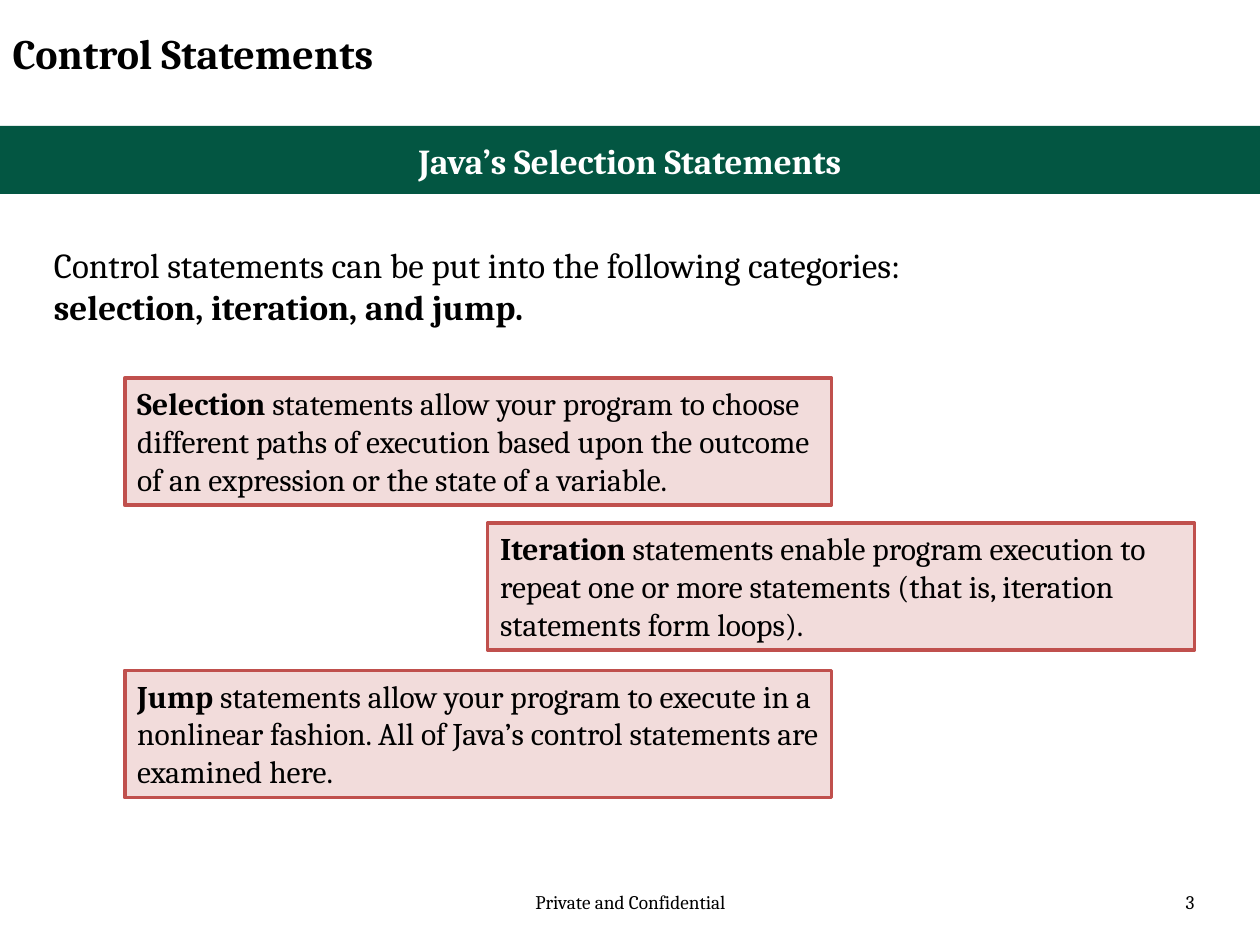
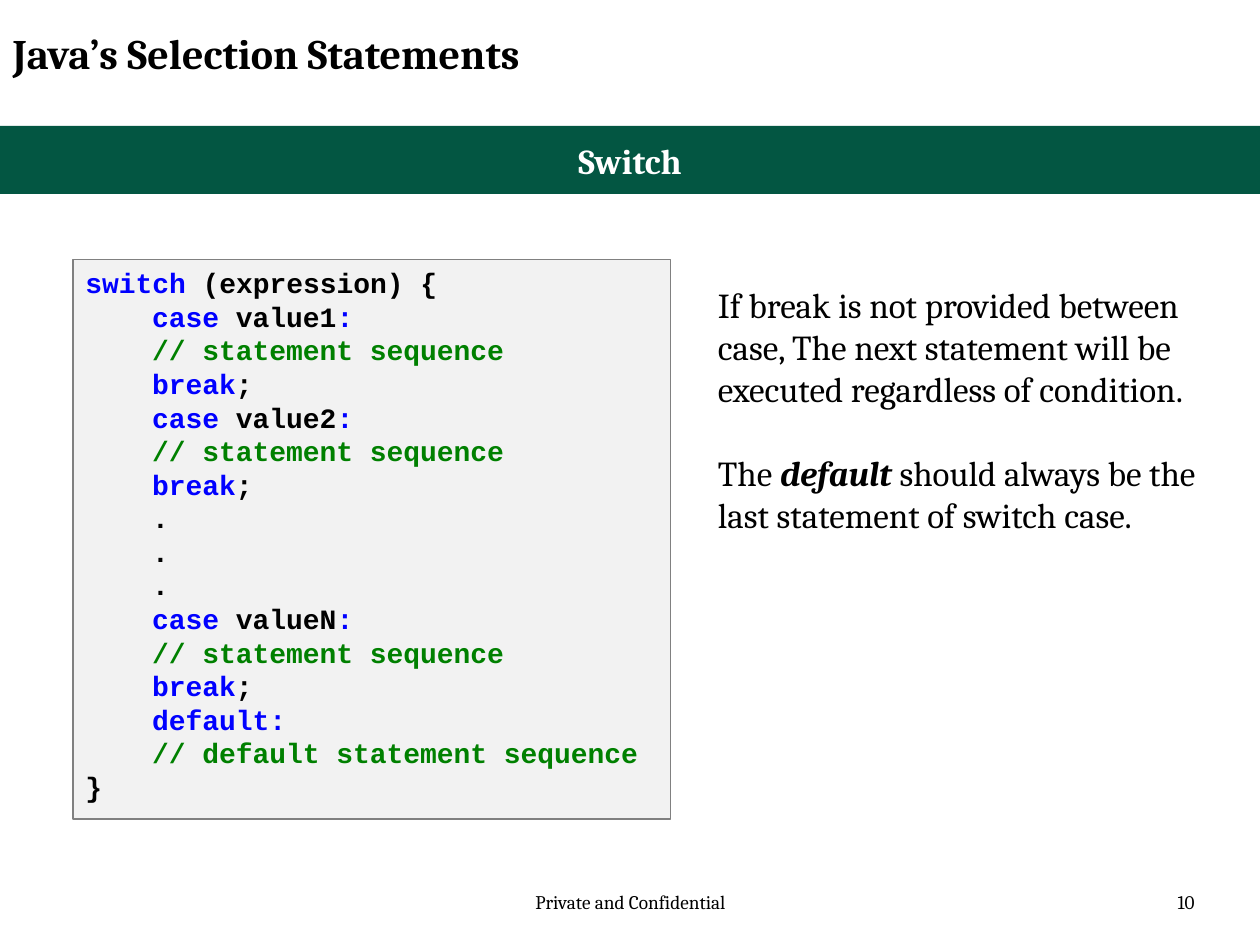
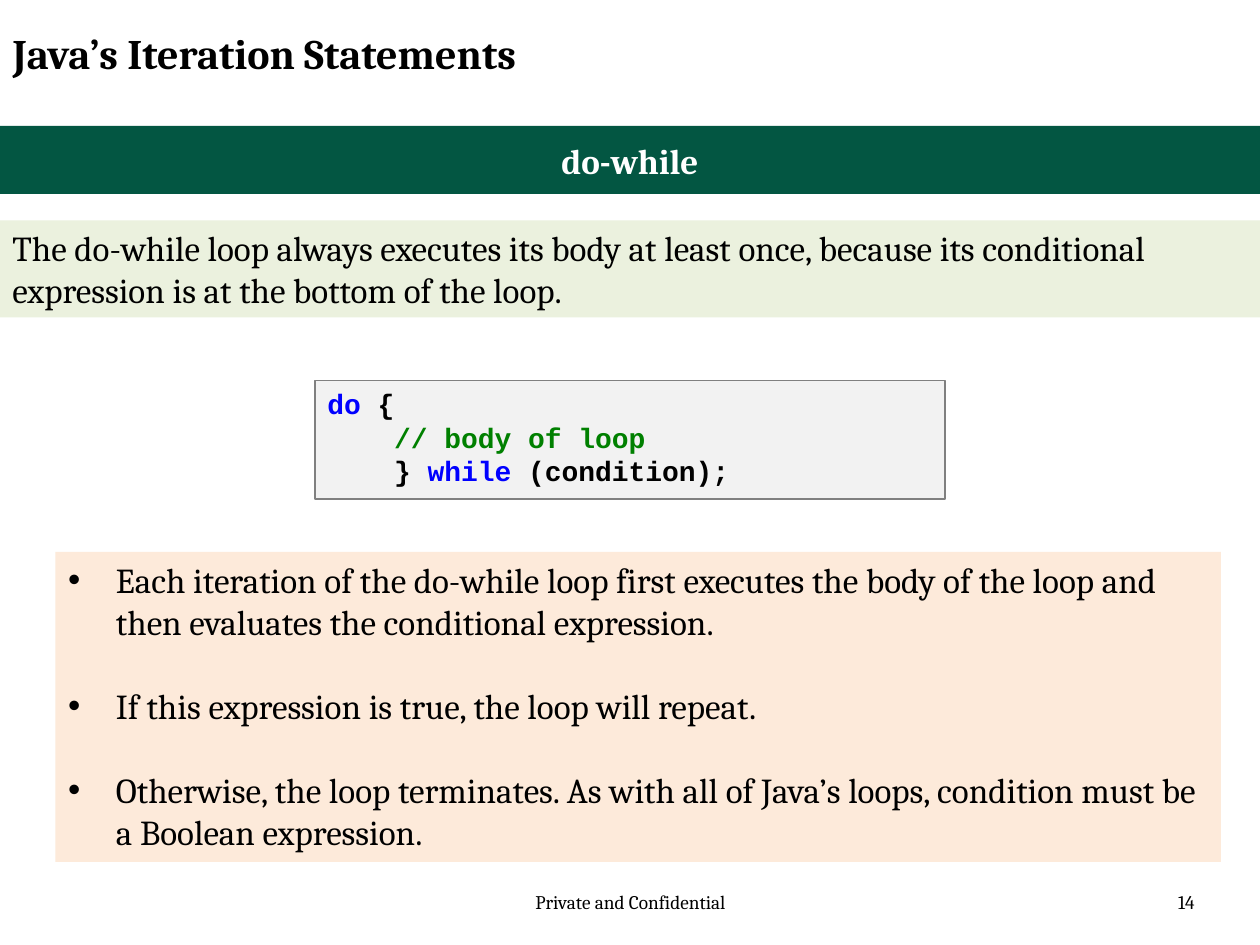
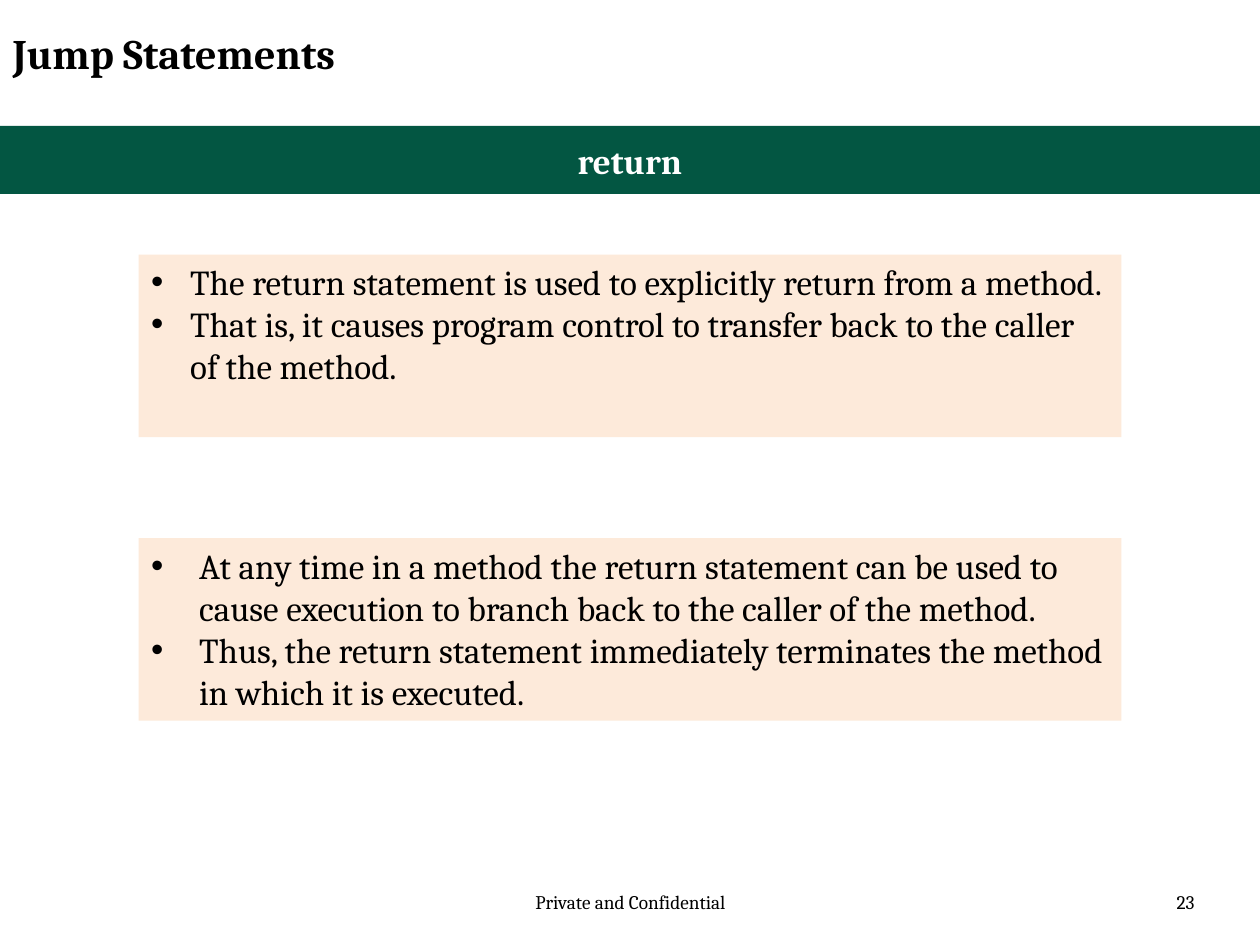
from pptx import Presentation
from pptx.dml.color import RGBColor
from pptx.enum.shapes import MSO_SHAPE
from pptx.enum.text import MSO_ANCHOR, MSO_AUTO_SIZE, PP_ALIGN
from pptx.util import Inches, Pt

BODY_FONT, CODE_FONT = "Cambria", "Courier New"
BLACK, WHITE, GREEN = "000000", "FFFFFF", "035642"
ROSE, RED = "F2DCDB", "C0504D"
PALE_GREEN, PEACH = "EBF1DE", "FDEADA"
LIGHT_GRAY, GRAY = "F2F2F2", "808080"
KEYWORD, COMMENT = "0000FF", "008000"

TITLE_AND_CONTENT, TWO_CONTENT, TITLE_ONLY = 1, 3, 5
CODE_INDENT = 0.53
BLANK_LINE = 24

CASE_BODY = [
    (1, [("// statement sequence", COMMENT)]),
    (1, [("break", KEYWORD), (";", BLACK)]),
]


def case_lines(value):
    """Return the code lines of one switch case."""
    label = [("case", KEYWORD), (f" {value}", BLACK), (":", KEYWORD)]
    return [(1, label), *CASE_BODY]


SWITCH_CODE = [
    (0, [("switch", KEYWORD), (" (expression) {", BLACK)]),
    *case_lines("value1"),
    *case_lines("value2"),
    *[(1, [(".", BLACK)])] * 3,
    *case_lines("valueN"),
    (1, [("default:", KEYWORD)]),
    (1, [("// default statement sequence", COMMENT)]),
    (0, [("}", BLACK)]),
]
DO_WHILE_CODE = [
    (0, [("do", KEYWORD), (" {", BLACK)]),
    (1, [("// body of loop", COMMENT)]),
    (1, [("} ", BLACK), ("while", KEYWORD), (" (condition);", BLACK)]),
]

CATEGORIES = [
    (0.99, 3, "Selection", " statements allow your program to choose different paths "
     "of execution based upon the outcome of an expression or the state of a variable."),
    (3.87, 4.15, "Iteration", " statements enable program execution to repeat one or more "
     "statements (that is, iteration statements form loops)."),
    (0.99, 5.32, "Jump", " statements allow your program to execute in a nonlinear fashion. "
     "All of Java’s control statements are examined here."),
]


def color(value):
    """Turn a hex string into a colour."""
    return RGBColor.from_string(value)


def format_run(run, size, hex_color=BLACK, font=BODY_FONT, bold=False, italic=False):
    """Set the font of one run."""
    run.font.name = font
    run.font.size = Pt(size)
    run.font.bold = bold
    run.font.italic = italic
    run.font.color.rgb = color(hex_color)


def format_paragraph(paragraph, size, align=PP_ALIGN.LEFT, space_before=0, **font):
    """Set the alignment, spacing and runs of one paragraph."""
    paragraph.alignment = align
    paragraph.space_before = Pt(space_before)
    for run in paragraph.runs:
        format_run(run, size, **font)


def prepare_frame(shape, anchor=MSO_ANCHOR.TOP):
    """Make the text of a shape wrap at a fixed size and return its frame."""
    frame = shape.text_frame
    frame.word_wrap = True
    frame.auto_size = MSO_AUTO_SIZE.NONE
    frame.vertical_anchor = anchor
    return frame


def place(shape, left, top, width, height):
    """Move and size a shape in inches."""
    shape.left, shape.top = Inches(left), Inches(top)
    shape.width, shape.height = Inches(width), Inches(height)


def add_text(slide, box, text, size, **style):
    """Add a text box of plain paragraphs and return its frame."""
    frame = prepare_frame(slide.shapes.add_textbox(*map(Inches, box)))
    frame.text = text
    for paragraph in frame.paragraphs:
        format_paragraph(paragraph, size, **style)
    return frame


def add_panel(slide, box, fill, line=None, line_width=0.75):
    """Add a filled rectangle with an optional outline."""
    panel = slide.shapes.add_shape(MSO_SHAPE.RECTANGLE, *map(Inches, box))
    panel.shadow.inherit = False
    panel.fill.solid()
    panel.fill.fore_color.rgb = color(fill)
    if line:
        panel.line.color.rgb = color(line)
        panel.line.width = Pt(line_width)
    else:
        panel.line.fill.background()
    return panel


def add_band(slide, text):
    """Add the green heading band across the slide."""
    frame = prepare_frame(add_panel(slide, (0, 1, 10, 0.54), GREEN), MSO_ANCHOR.MIDDLE)
    frame.margin_top = frame.margin_bottom = Inches(0.1)
    frame.text = text
    format_paragraph(frame.paragraphs[0], 20, PP_ALIGN.CENTER, hex_color=WHITE, bold=True)


def add_content_slide(presentation, layout, title, heading, number):
    """Add a slide with its title, band, footer and page number."""
    slide = presentation.slides.add_slide(presentation.slide_layouts[layout])
    place(slide.shapes.title, 0, 0.17, 7.58, 0.62)
    frame = prepare_frame(slide.shapes.title)
    frame.text = title
    format_paragraph(frame.paragraphs[0], 24, bold=True)
    add_band(slide, heading)
    add_text(slide, (3.42, 7.02, 3.17, 0.4), "Private and Confidential", 11,
             align=PP_ALIGN.CENTER)
    add_text(slide, (7.25, 7.02, 2.33, 0.4), str(number), 11, align=PP_ALIGN.RIGHT)
    return slide


def add_category(slide, left, top, term, description):
    """Add an outlined box that explains one bold term."""
    frame = prepare_frame(add_panel(slide, (left, top, 5.61, 1.01), ROSE, RED, 2))
    paragraph = frame.paragraphs[0]
    paragraph.text = term
    paragraph.add_run().text = description
    format_paragraph(paragraph, 18)
    paragraph.runs[0].font.bold = True


def add_code(slide, box, lines):
    """Add a code box from indent levels and coloured pieces."""
    frame = prepare_frame(add_panel(slide, box, LIGHT_GRAY, GRAY))
    for index, (level, pieces) in enumerate(lines):
        paragraph = frame.add_paragraph() if index else frame.paragraphs[0]
        paragraph.alignment = PP_ALIGN.LEFT
        paragraph._p.get_or_add_pPr().set("marL", str(Inches(level * CODE_INDENT)))
        for text, hex_color in pieces:
            run = paragraph.add_run()
            run.text = text
            format_run(run, 16, hex_color, CODE_FONT, bold=True)


def fill_list(placeholder, box, items, indent=0.38, gap=0):
    """Turn a body placeholder into a peach bulleted list."""
    place(placeholder, *box)
    placeholder.fill.solid()
    placeholder.fill.fore_color.rgb = color(PEACH)
    frame = prepare_frame(placeholder)
    frame.text = "\n".join(items)
    for index, paragraph in enumerate(frame.paragraphs):
        format_paragraph(paragraph, 20, space_before=gap if index else 0)
        properties = paragraph._p.get_or_add_pPr()
        properties.set("marL", str(Inches(indent)))
        properties.set("indent", str(-Inches(indent)))


def build_categories(presentation):
    """Build the overview of control statements."""
    slide = add_content_slide(presentation, TITLE_ONLY, "Control Statements",
                              "Java’s Selection Statements", 3)
    intro = add_text(slide, (0.33, 1.88, 8.84, 0.77),
                     "Control statements can be put into the following categories:\n"
                     "selection, iteration, and jump.", 20)
    intro.paragraphs[1].runs[0].font.bold = True
    for category in CATEGORIES:
        add_category(slide, *category)


def build_switch(presentation):
    """Build the switch slide."""
    slide = add_content_slide(presentation, TITLE_ONLY, "Java’s Selection Statements",
                              "Switch", 10)
    add_code(slide, (0.58, 2.06, 4.74, 4.44), SWITCH_CODE)
    notes = add_text(slide, (5.6, 2.2, 4.06, 2.79),
                     "If break is not provided between case, The next statement will be "
                     "executed regardless of condition.\nThe ", 20)
    advice = notes.paragraphs[1]
    for text in ("default", " should always be the last statement of switch case."):
        advice.add_run().text = text
    format_paragraph(advice, 20, space_before=BLANK_LINE)
    advice.runs[1].font.bold = advice.runs[1].font.italic = True


def build_do_while(presentation):
    """Build the do-while slide."""
    slide = add_content_slide(presentation, TITLE_AND_CONTENT, "Java’s Iteration Statements",
                              "do-while", 14)
    frame = prepare_frame(add_panel(slide, (0, 1.75, 10, 0.77), PALE_GREEN))
    frame.text = ("The do-while loop always executes its body at least once, because its "
                  "conditional expression is at the bottom of the loop.")
    format_paragraph(frame.paragraphs[0], 20)
    fill_list(slide.placeholders[1], (0.44, 4.38, 9.25, 2.46), [
        "Each iteration of the do-while loop first executes the body of the loop and then "
        "evaluates the conditional expression.",
        "If this expression is true, the loop will repeat.",
        "Otherwise, the loop terminates. As with all of Java’s loops, condition must be a "
        "Boolean expression.",
    ], gap=BLANK_LINE)
    add_code(slide, (2.5, 3.02, 5, 0.94), DO_WHILE_CODE)


def build_return(presentation):
    """Build the return slide."""
    slide = add_content_slide(presentation, TWO_CONTENT, "Jump Statements", "return", 23)
    fill_list(slide.placeholders[1], (1.1, 2.02, 7.8, 1.45), [
        "The return statement is used to explicitly return from a method.",
        "That is, it causes program control to transfer back to the caller of the method.",
    ], indent=0.31)
    fill_list(slide.placeholders[2], (1.1, 4.27, 7.8, 1.45), [
        "At any time in a method the return statement can be used to cause execution to "
        "branch back to the caller of the method.",
        "Thus, the return statement immediately terminates the method in which it is executed.",
    ])


def main():
    """Build the presentation and save it."""
    presentation = Presentation()
    presentation.slide_width, presentation.slide_height = Inches(10), Inches(7.5)
    build_categories(presentation)
    build_switch(presentation)
    build_do_while(presentation)
    build_return(presentation)
    presentation.save("out.pptx")


if __name__ == "__main__":
    main()
